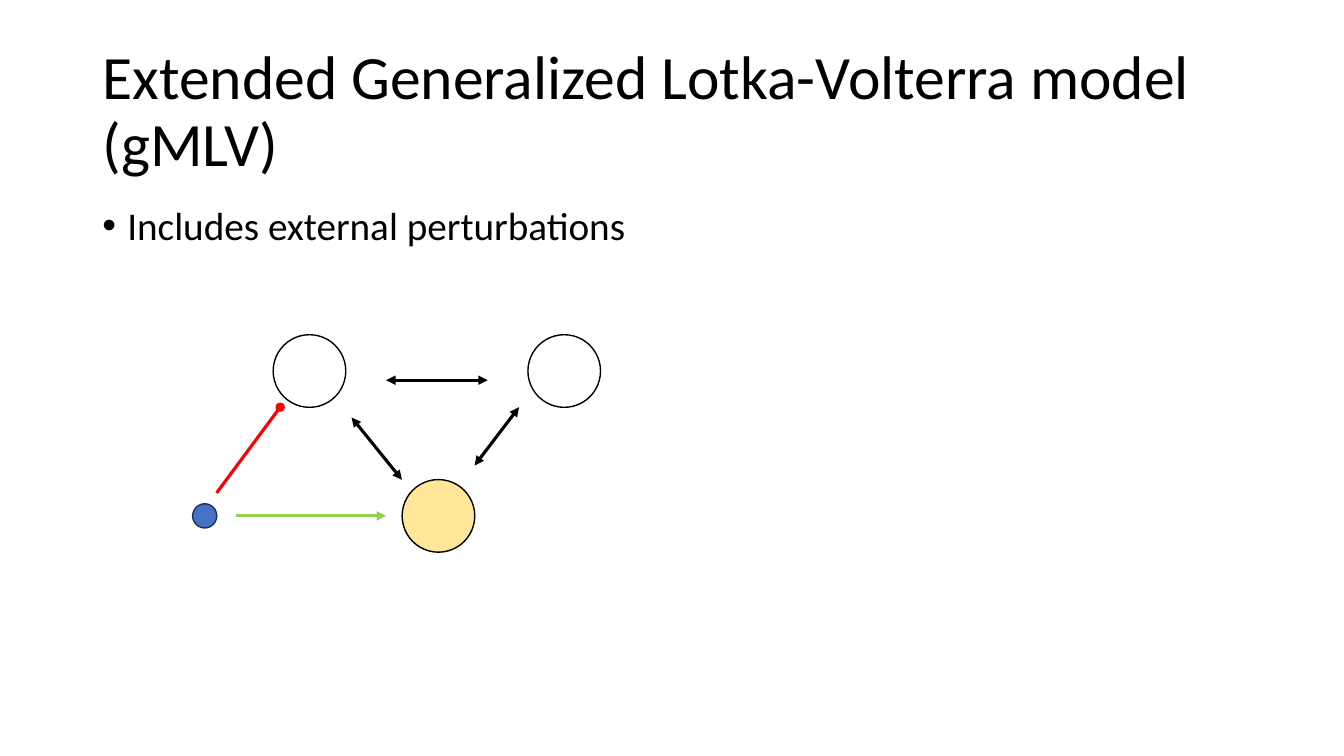
import pptx
import pptx.dml.color
import pptx.enum.shapes
import pptx.enum.text
import pptx.oxml.ns
import pptx.util
from lxml import etree

Cm, Pt = pptx.util.Cm, pptx.util.Pt
FONT = "Calibri"
COLORS = {
    "text": "000000",
    "outline": "000000",
    "species": "FFFFFF",
    "target": "FFE699",
    "perturbation": "4472C4",
    "perturbation_edge": "1E3256",
    "promotes": "92D050",
    "inhibits": "FF0000",
}


def rgb(name):
    return pptx.dml.color.RGBColor.from_string(COLORS[name])


def add_xml(parent, tag, **attributes):
    return etree.SubElement(parent, pptx.oxml.ns.qn(tag), **attributes)


def write_text(frame, text, size, color="text", bullet=None, indent=0):
    paragraph = frame.paragraphs[0]
    paragraph.line_spacing = 0.9
    if bullet:
        properties = paragraph._p.get_or_add_pPr()
        properties.set("marL", str(Cm(indent)))
        properties.set("indent", str(-Cm(indent)))
        add_xml(properties, "a:buFont", typeface="Arial")
        add_xml(properties, "a:buChar", char=bullet)
    run = paragraph.add_run()
    run.text = text
    run.font.name = FONT
    run.font.size = Pt(size)
    run.font.color.rgb = rgb(color)


class ModelSlide:
    def __init__(self, slide):
        self.shapes = slide.shapes
        self.outline_width = Pt(1)
        self.arrow_width = Pt(2.25)

    def text(self, text, left, top, width, height, anchor="TOP", **style):
        box = self.shapes.add_textbox(Cm(left), Cm(top), Cm(width), Cm(height))
        box.text_frame.word_wrap = True
        box.text_frame.vertical_anchor = getattr(pptx.enum.text.MSO_ANCHOR, anchor)
        write_text(box.text_frame, text, **style)

    def circle(self, center, diameter, fill, outline="outline"):
        x, y = (value - diameter / 2 for value in center)
        circle = self.shapes.add_shape(
            pptx.enum.shapes.MSO_SHAPE.OVAL, Cm(x), Cm(y), Cm(diameter), Cm(diameter))
        circle.shadow.inherit = False
        circle.fill.solid()
        circle.fill.fore_color.rgb = rgb(fill)
        circle.line.color.rgb = rgb(outline)
        circle.line.width = self.outline_width

    def arrow(self, start, end, color="outline", head=None, tail="triangle"):
        arrow = self.shapes.add_connector(
            pptx.enum.shapes.MSO_CONNECTOR.STRAIGHT, *map(Cm, start + end))
        arrow.line.color.rgb = rgb(color)
        arrow.line.width = self.arrow_width
        line = arrow.line._get_or_add_ln()
        if head:
            add_xml(line, "a:headEnd", type=head)
        add_xml(line, "a:tailEnd", type=tail)
        add_xml(arrow._element.spPr, "a:effectLst")


def main():
    presentation = pptx.Presentation()
    presentation.slide_width = Cm(33.87)
    presentation.slide_height = Cm(19.05)
    model = ModelSlide(presentation.slides.add_slide(presentation.slide_layouts[6]))

    # Title and statement
    left, width = 2.33, 29.21
    model.text("Extended Generalized Lotka-Volterra model (gMLV)",
               left, 1.01, width, 3.68, anchor="MIDDLE", size=44)
    model.text("Includes external perturbations",
               left, 5.07, width, 12.09, size=28, bullet="•", indent=0.63)

    # Species
    upper_row, lower_row = 9.35, 13
    species_diameter = 1.83
    for x, y, fill in ((7.8, upper_row, "species"),
                       (14.22, upper_row, "species"),
                       (11.05, lower_row, "target")):
        model.circle((x, y), species_diameter, fill)

    # Mutual interactions
    for start, end in (((9.73, 9.58), (12.29, 9.58)),
                       ((8.86, 10.52), (10.13, 12.09)),
                       ((13.08, 10.26), (11.96, 11.73))):
        model.arrow(start, end, head="triangle")

    # External perturbation and its effects
    model.circle((5.16, lower_row), 0.61, "perturbation", "perturbation_edge")
    model.arrow((5.94, lower_row), (9.73, lower_row), "promotes")
    model.arrow((5.46, 12.42), (7.06, 10.26), "inhibits", tail="oval")

    presentation.save("out.pptx")


if __name__ == "__main__":
    main()
